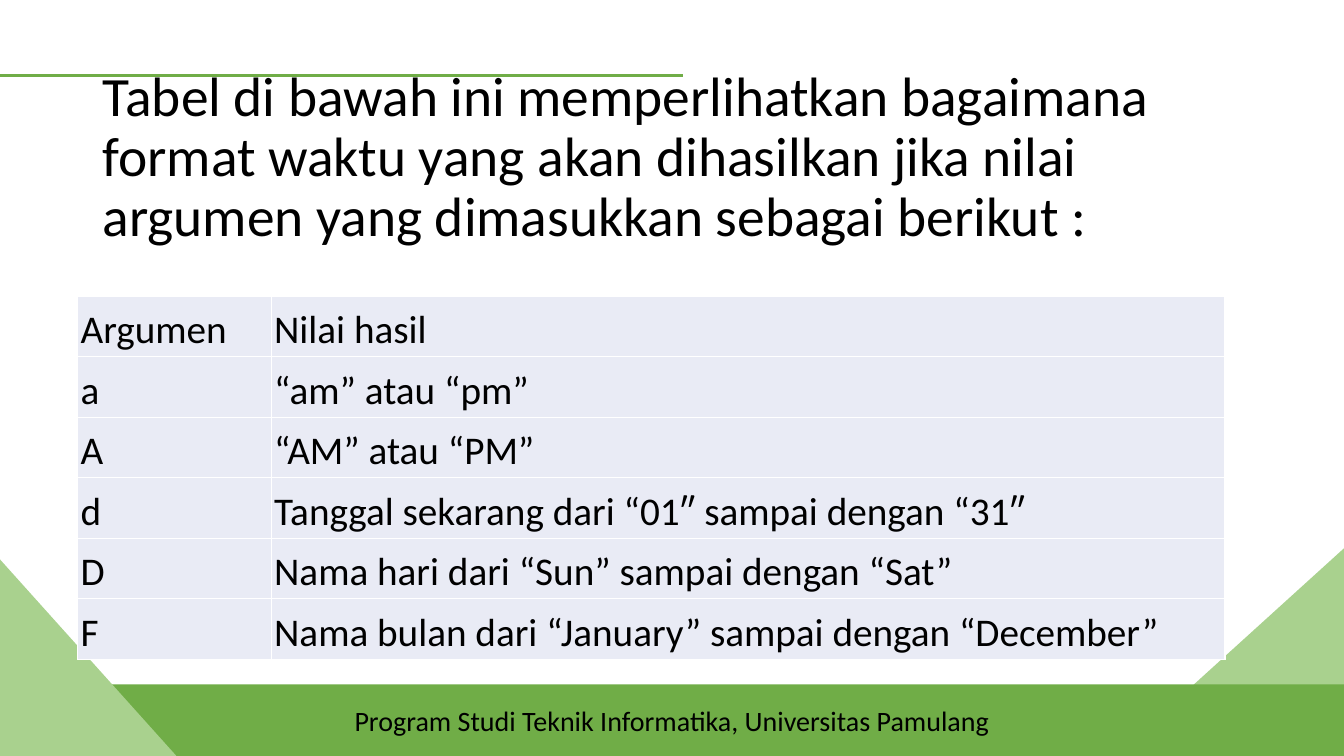
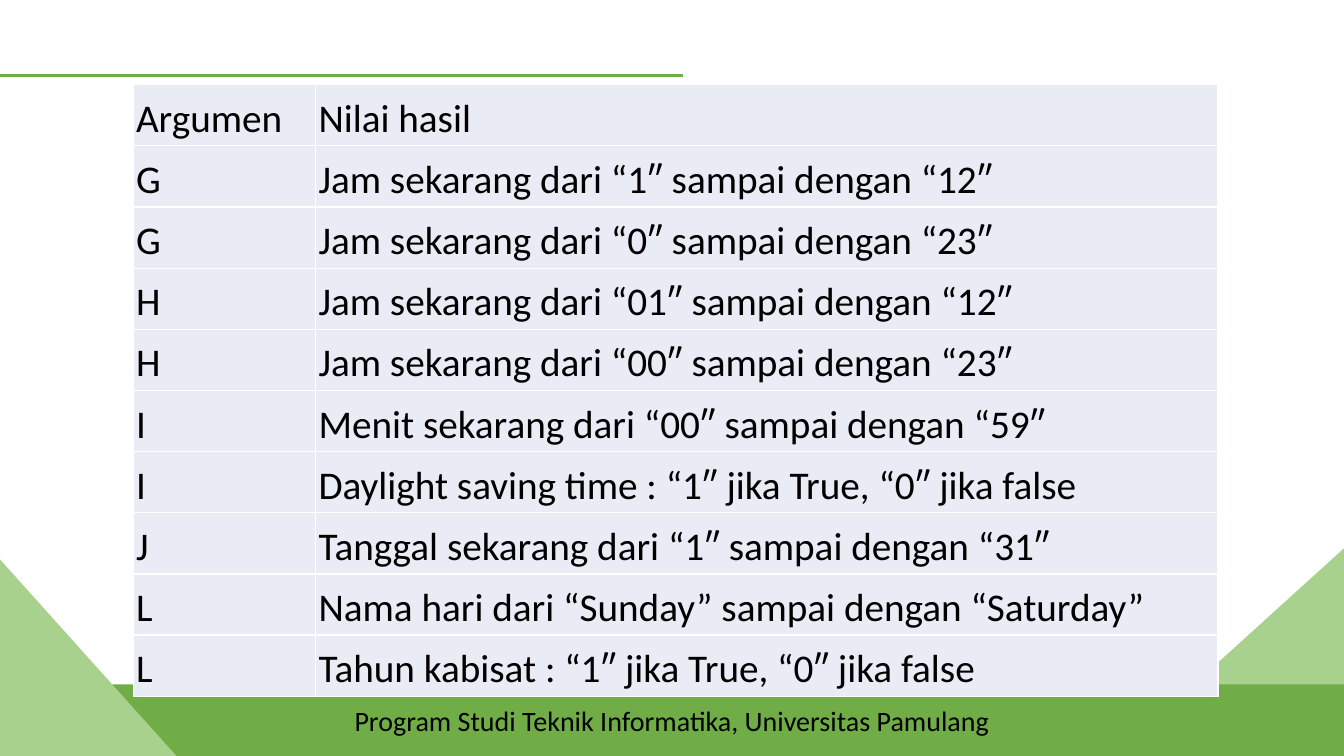
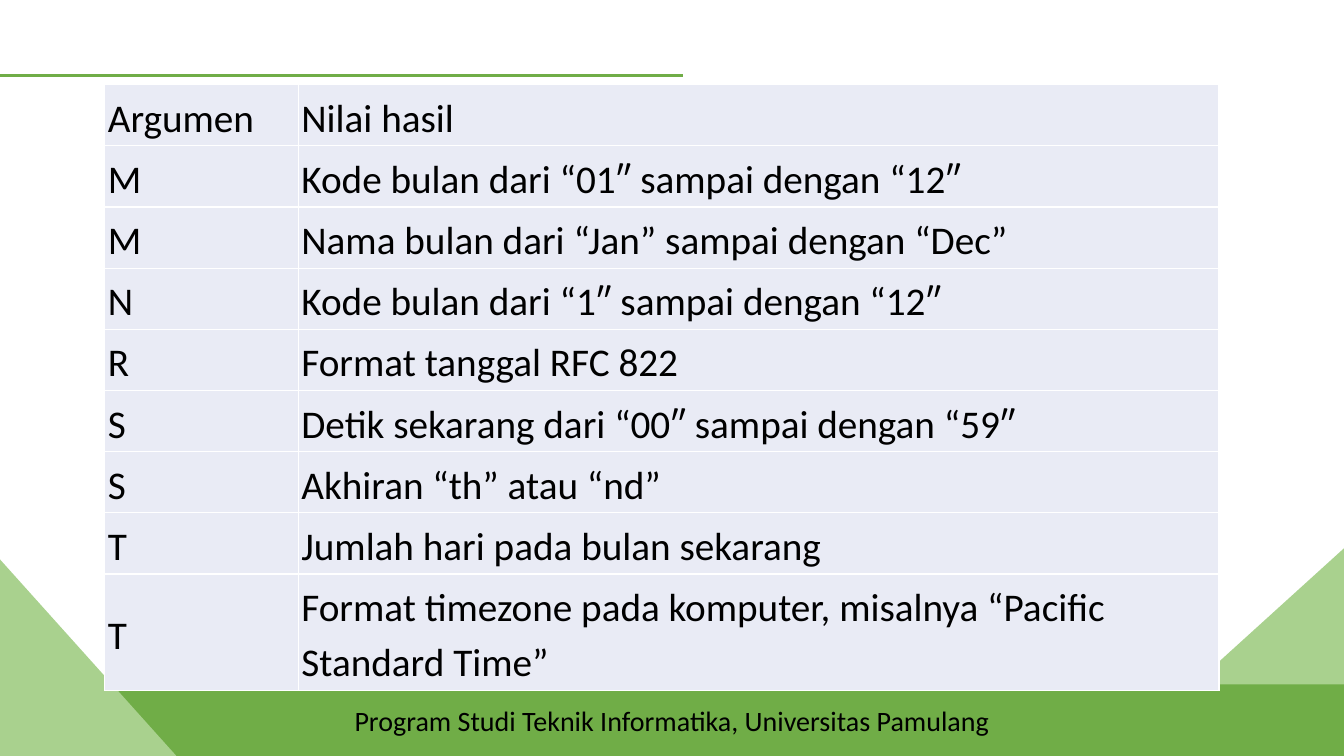
from dataclasses import dataclass

from lxml.etree import SubElement
from pptx import Presentation
from pptx.dml.color import RGBColor as RGB
from pptx.enum.shapes import MSO_CONNECTOR as Connector, MSO_SHAPE as Shape
from pptx.enum.text import MSO_ANCHOR as Anchor, PP_ALIGN as Align
from pptx.oxml.ns import qn
from pptx.util import Inches, Pt


@dataclass(frozen=True)
class Theme:
    font: str = "Calibri"
    ink: str = "000000"
    green: str = "70AD47"
    light_green: str = "A9D18E"
    cell: str = "E9EBF5"
    border: str = "FFFFFF"
    title_size: float = 39.6
    table_size: float = 28
    footer_size: float = 20


THEME = Theme()
FOOTER = "Program Studi Teknik Informatika, Universitas Pamulang"
HEADINGS = ("Argumen", "Nilai hasil")
ROW_HEIGHT = 0.6

TITLE = ("Tabel di bawah ini memperlihatkan bagaimana format waktu yang akan "
         "dihasilkan jika nilai argumen yang dimasukkan sebagai berikut :")

DAY_FORMATS = [
    ("a", "“am” atau “pm”"),
    ("A", "“AM” atau “PM”"),
    ("d", "Tanggal sekarang dari “01″ sampai dengan “31″"),
    ("D", "Nama hari dari “Sun” sampai dengan “Sat”"),
    ("F", "Nama bulan dari “January” sampai dengan “December”"),
]
HOUR_FORMATS = [
    ("G", "Jam sekarang dari “1″ sampai dengan “12″"),
    ("G", "Jam sekarang dari “0″ sampai dengan “23″"),
    ("H", "Jam sekarang dari “01″ sampai dengan “12″"),
    ("H", "Jam sekarang dari “00″ sampai dengan “23″"),
    ("I", "Menit sekarang dari “00″ sampai dengan “59″"),
    ("I", "Daylight saving time : “1″ jika True, “0″ jika false"),
    ("J", "Tanggal sekarang dari “1″ sampai dengan “31″"),
    ("L", "Nama hari dari “Sunday” sampai dengan “Saturday”"),
    ("L", "Tahun kabisat : “1″ jika True, “0″ jika false"),
]
MONTH_FORMATS = [
    ("M", "Kode bulan dari “01″ sampai dengan “12″"),
    ("M", "Nama bulan dari “Jan” sampai dengan “Dec”"),
    ("N", "Kode bulan dari “1″ sampai dengan “12″"),
    ("R", "Format tanggal RFC 822"),
    ("S", "Detik sekarang dari “00″ sampai dengan “59″"),
    ("S", "Akhiran “th” atau “nd”"),
    ("T", "Jumlah hari pada bulan sekarang"),
    ("T", "Format timezone pada komputer, misalnya “Pacific Standard Time”"),
]


def write(frame, text, size, spacing=1.0, align=Align.LEFT):
    frame.word_wrap = True
    paragraph = frame.paragraphs[0]
    paragraph.text = text
    paragraph.alignment = align
    paragraph.line_spacing = spacing
    font = paragraph.runs[0].font
    font.name, font.size = THEME.font, Pt(size)
    font.color.rgb = RGB.from_string(THEME.ink)
    return paragraph


def add_block(slide, kind, box, color):
    block = slide.shapes.add_shape(kind, *map(Inches, box))
    block.shadow.inherit = False
    block.fill.solid()
    block.fill.fore_color.rgb = RGB.from_string(color)
    block.line.fill.background()
    return block


def add_backdrop(slide, width, height):
    # Right corner, footer band, left corner
    right_corner = add_block(slide, Shape.RIGHT_TRIANGLE,
                             (width - 2.16, height - 2.17, 2.06, 2.27), THEME.light_green)
    right_corner.rotation = 270
    footer = add_block(slide, Shape.RECTANGLE, (0, height - 0.71, width, 0.71), THEME.green)
    footer.text_frame.vertical_anchor = Anchor.MIDDLE
    write(footer.text_frame, FOOTER, THEME.footer_size, align=Align.CENTER)
    add_block(slide, Shape.RIGHT_TRIANGLE, (0, height - 1.95, 1.75, 1.95), THEME.light_green)

    # Rule at the top
    rule = slide.shapes.add_connector(Connector.STRAIGHT, 0, Inches(0.75),
                                      Inches(6.77), Inches(0.75))
    rule.line.color.rgb = RGB.from_string(THEME.green)
    rule.line.width = Pt(2.25)
    SubElement(rule._element.spPr, qn("a:effectLst"))


def add_title(slide, box, text):
    frame = slide.shapes.add_textbox(*map(Inches, box)).text_frame
    frame.vertical_anchor = Anchor.MIDDLE
    frame.margin_bottom = Inches(0.65)
    write(frame, text, THEME.title_size, spacing=0.9)


def style_cell(cell):
    cell.vertical_anchor = Anchor.MIDDLE
    cell.margin_left = cell.margin_right = Inches(0.03)
    cell.margin_top = cell.margin_bottom = Inches(0.03)
    properties = cell._tc.get_or_add_tcPr()
    for side in ("lnL", "lnR", "lnT", "lnB"):
        line = SubElement(properties, qn(f"a:{side}"), w=str(Pt(1)))
        SubElement(SubElement(line, qn("a:solidFill")), qn("a:srgbClr"), val=THEME.border)
    cell.fill.solid()
    cell.fill.fore_color.rgb = RGB.from_string(THEME.cell)


def add_format_table(slide, left, top, columns, formats, last_height=ROW_HEIGHT):
    rows = [HEADINGS, *formats]
    heights = [ROW_HEIGHT] * len(formats) + [last_height]
    table = slide.shapes.add_table(len(rows), len(columns), Inches(left), Inches(top),
                                   Inches(sum(columns)), Inches(sum(heights))).table
    table.first_row = table.horz_banding = False
    for column, width in zip(table.columns, columns):
        column.width = Inches(width)
    for row, height, texts in zip(table.rows, heights, rows):
        row.height = Inches(height)
        for cell, text in zip(row.cells, texts):
            style_cell(cell)
            paragraph = write(cell.text_frame, text, THEME.table_size, spacing=1.15)
            paragraph.space_after = Pt(10)


def main():
    width, height = 13.33, 7.5
    deck = Presentation()
    deck.slide_width, deck.slide_height = Inches(width), Inches(height)

    def new_slide():
        slide = deck.slides.add_slide(deck.slide_layouts[6])
        add_backdrop(slide, width, height)
        return slide

    days = new_slide()
    add_title(days, (0.92, 1.15, 11.5, 1.45), TITLE)
    add_format_table(days, 0.77, 2.94, (1.92, 9.46), DAY_FORMATS)
    add_format_table(new_slide(), 1.32, 0.84, (1.81, 8.95), HOUR_FORMATS)
    add_format_table(new_slide(), 1.04, 0.84, (1.92, 9.13), MONTH_FORMATS, last_height=1.12)

    deck.save("out.pptx")


if __name__ == "__main__":
    main()
